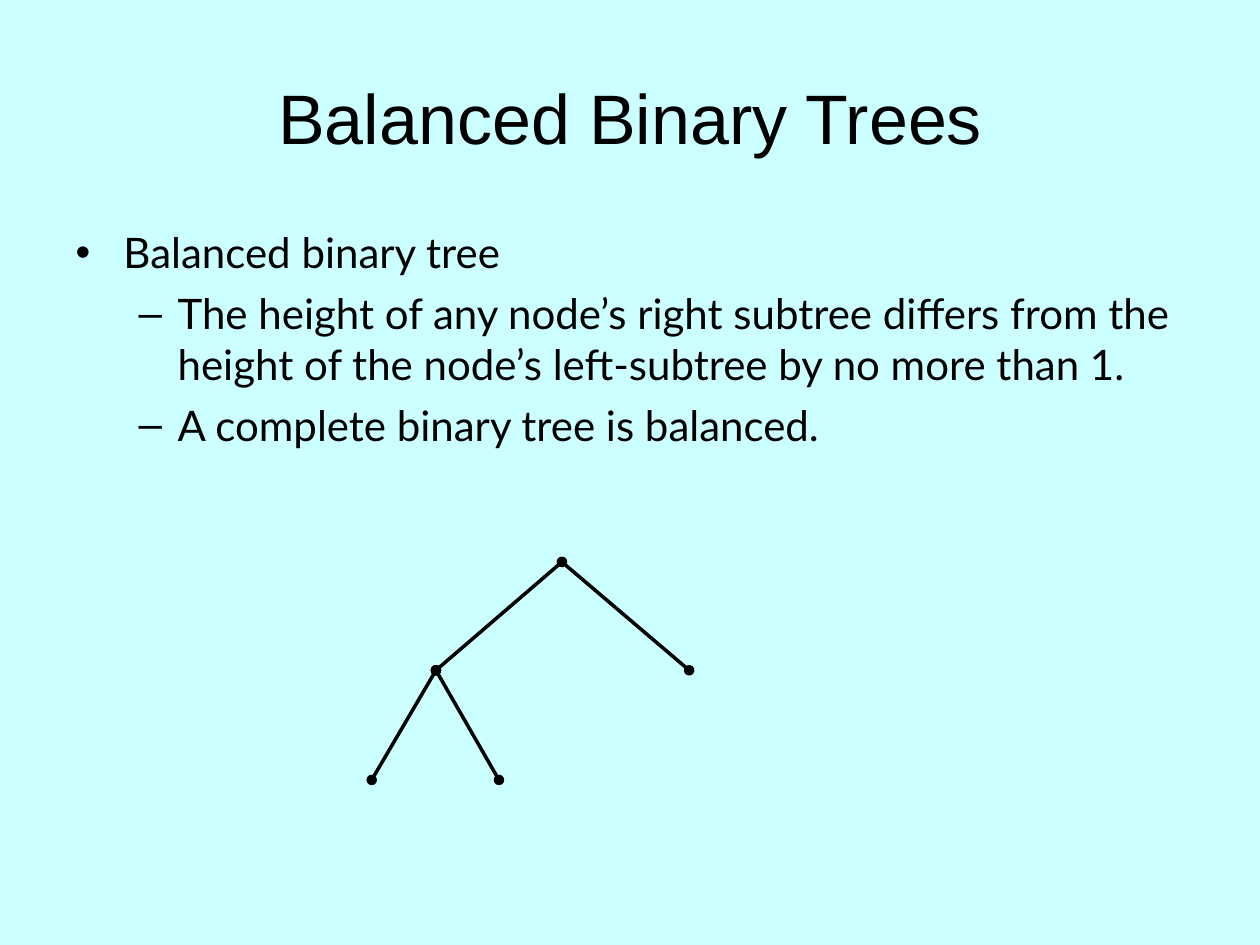
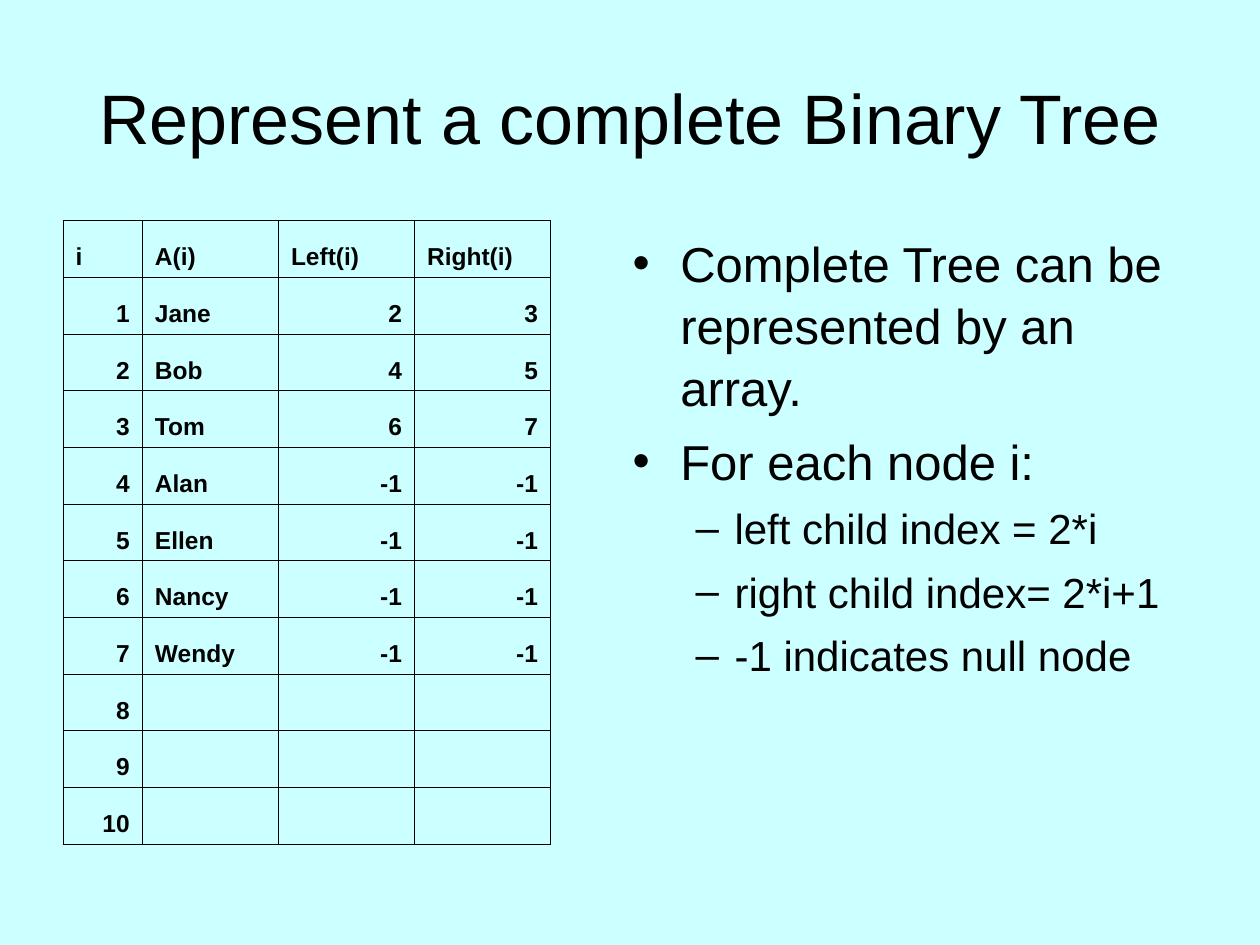
from lxml.etree import SubElement
from pptx import Presentation
from pptx.dml.color import RGBColor
from pptx.enum.shapes import MSO_CONNECTOR
from pptx.enum.text import MSO_ANCHOR, MSO_AUTO_SIZE, PP_ALIGN
from pptx.oxml.ns import qn
from pptx.util import Inches, Pt

BLACK = RGBColor(0x00, 0x00, 0x00)
PALE_CYAN = RGBColor(0xCC, 0xFF, 0xFF)

# Bullet sign, left margin and hanging indent for each list level
LEVELS = [("•", 0.38, -0.38), ("–", 0.81, -0.31)]


class Lecture:
    """Holds the shared style and the current slide."""

    def __init__(self):
        self.deck = Presentation()
        self.deck.slide_width = Inches(10)
        self.deck.slide_height = Inches(7.5)
        fill = self.deck.slide_master.background.fill
        fill.solid()
        fill.fore_color.rgb = PALE_CYAN
        self.page = None

    def add_page(self, title):
        self.page = self.deck.slides.add_slide(self.deck.slide_layouts[1])
        box = self.page.shapes.title
        self.place(box, 0.5, 0.3, 9, 1.25)
        box.text_frame.vertical_anchor = MSO_ANCHOR.MIDDLE
        para = box.text_frame.paragraphs[0]
        para.alignment = PP_ALIGN.CENTER
        self.add_span(para, title, 40)

    def place(self, box, left, top, width, height):
        box.left, box.top = Inches(left), Inches(top)
        box.width, box.height = Inches(width), Inches(height)
        box.text_frame.word_wrap = True
        box.text_frame.auto_size = MSO_AUTO_SIZE.NONE

    def add_span(self, para, text, size, font="Arial", bold=False):
        span = para.add_run()
        span.text = text
        span.font.name = font
        span.font.size = Pt(size)
        span.font.bold = bold
        span.font.color.rgb = BLACK

    def add_list(self, area, items, sizes, gaps, font="Arial", line_spacing=1.0):
        """Fill the body; sizes and gaps are given by list level."""
        box = self.page.placeholders[1]
        self.place(box, *area)
        frame = box.text_frame
        for index, (level, text) in enumerate(items):
            para = frame.add_paragraph() if index else frame.paragraphs[0]
            para.level = level
            para.line_spacing = line_spacing
            para.space_before = Pt(gaps[level] if index else 0)
            self.add_bullet(para, *LEVELS[level])
            self.add_span(para, text, sizes[level], font)

    def add_bullet(self, para, sign, margin, indent):
        properties = para._p.get_or_add_pPr()
        properties.set("marL", str(Inches(margin)))
        properties.set("indent", str(Inches(indent)))
        color = SubElement(properties, qn("a:buClr"))
        SubElement(color, qn("a:srgbClr"), val=str(BLACK))
        SubElement(properties, qn("a:buFont"), typeface="Arial")
        SubElement(properties, qn("a:buChar"), char=sign)

    def add_tree(self, nodes, edges):
        group = self.page.shapes.add_group_shape()
        for parent, child in edges:
            ends = [Inches(value) for value in nodes[parent] + nodes[child]]
            branch = group.shapes.add_connector(MSO_CONNECTOR.STRAIGHT, *ends)
            branch.line.color.rgb = BLACK
            branch.line.width = Pt(2)
            line = branch.line._get_or_add_ln()
            for end in ("a:headEnd", "a:tailEnd"):
                SubElement(line, qn(end), type="oval")
            SubElement(branch._element.spPr, qn("a:effectLst"))

    def add_table(self, left, top, widths, row_height, rows):
        frame = self.page.shapes.add_table(
            len(rows), len(widths), Inches(left), Inches(top),
            Inches(sum(widths)), Inches(row_height * len(rows)))
        table = frame.table
        table.first_row = table.horz_banding = False
        for column, width in zip(table.columns, widths):
            column.width = Inches(width)
        for row, values in zip(table.rows, rows):
            row.height = Inches(row_height)
            for cell, value in zip(row.cells, values):
                self.fill_cell(cell, value)

    def fill_cell(self, cell, value):
        properties = cell._tc.get_or_add_tcPr()
        for side in ("a:lnL", "a:lnR", "a:lnT", "a:lnB"):
            border = SubElement(properties, qn(side), w=str(Pt(0.45)))
            paint = SubElement(border, qn("a:solidFill"))
            SubElement(paint, qn("a:srgbClr"), val=str(BLACK))
        cell.fill.background()
        cell.vertical_anchor = MSO_ANCHOR.BOTTOM
        if value != "":
            para = cell.text_frame.paragraphs[0]
            is_number = isinstance(value, int)
            para.alignment = PP_ALIGN.RIGHT if is_number else PP_ALIGN.LEFT
            self.add_span(para, str(value), 14, bold=True)


def main():
    lecture = Lecture()

    # Balanced trees: definition and example
    lecture.add_page("Balanced Binary Trees")
    lecture.add_list((0.5, 1.75, 9, 2.47), [
        (0, "Balanced binary tree"),
        (1, "The height of any node’s right subtree differs from the height "
            "of the node’s left-subtree by no more than 1."),
        (1, "A complete binary tree is balanced."),
    ], sizes=(24, 24), gaps=(6, 6), font="Lato")
    nodes = {
        "root": (4.46, 4.46),
        "left": (3.46, 5.32), "right": (5.47, 5.32),
        "left leaf": (2.95, 6.19), "right leaf": (3.96, 6.19),
    }
    lecture.add_tree(nodes, [
        ("root", "left"), ("root", "right"),
        ("left", "left leaf"), ("left", "right leaf"),
    ])

    # Complete tree: child indexes follow from the node number
    lecture.add_page("Represent a complete Binary Tree")
    names = ["Jane", "Bob", "Tom", "Alan", "Ellen", "Nancy", "Wendy"]
    rows = [("i", "A(i)", "Left(i)", "Right(i)")]
    for i, name in enumerate(names, start=1):
        children = [child if child <= len(names) else -1
                    for child in (2 * i, 2 * i + 1)]
        rows.append((i, name, *children))
    rows += [(i, "", "", "") for i in range(len(names) + 1, 11)]
    lecture.add_table(0.5, 1.75, (0.63, 1.08, 1.08, 1.08), 0.45, rows)
    lecture.add_list((4.92, 1.78, 4.57, 4.95), [
        (0, "Complete Tree can be represented by an array."),
        (0, "For each node i:"),
        (1, "left child index = 2*i"),
        (1, "right child index= 2*i+1"),
        (1, "-1 indicates null node"),
    ], sizes=(28, 24), gaps=(7, 6), line_spacing=1.05)

    lecture.deck.save("out.pptx")


if __name__ == "__main__":
    main()
